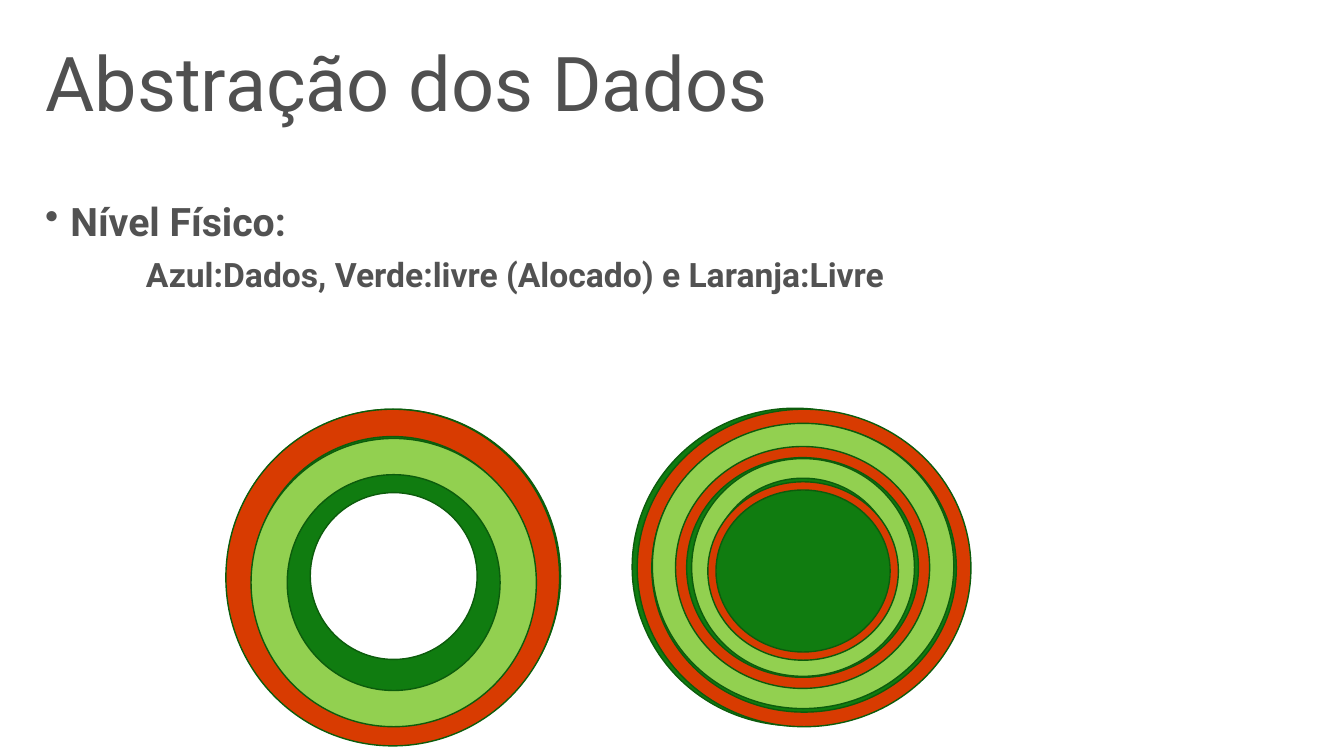
import dataclasses
import typing

import pptx
import pptx.dml.color
import pptx.enum.shapes
import pptx.enum.text
import pptx.oxml
import pptx.oxml.ns
import pptx.util

Inches = pptx.util.Inches
Pt = pptx.util.Pt
KINDS = pptx.enum.shapes.MSO_SHAPE
ALIGN = pptx.enum.text.PP_ALIGN
ANCHOR = pptx.enum.text.MSO_ANCHOR


@dataclasses.dataclass(frozen=True)
class Theme:
    font: str = "Roboto"
    title: str = "505050"
    body: str = "525252"
    green: str = "107C10"
    orange: str = "D83B01"
    lime: str = "92D050"
    edge: str = "0C5C0C"
    title_size: int = 54
    head_size: int = 28
    note_size: int = 24
    edge_size: int = 1


class Box(typing.NamedTuple):
    left: float
    top: float
    width: float
    height: float


class Ring(typing.NamedTuple):
    box: Box
    fill: str
    hole: typing.Optional[float]


class Line(typing.NamedTuple):
    text: str
    size: int
    margin: float
    indent: float
    bullet: str


THEME = Theme()
TITLE = Box(0.35, 0.37, 11.5, 0.98)
BODY = Box(0.35, 1.96, 11.5, 3.95)
RINGS = [
    Ring(Box(6.27, 4.05, 3.23, 3.15), THEME.green, None),
    Ring(Box(2.25, 4.06, 3.31, 3.31), THEME.green, 0.25),
    Ring(Box(6.32, 4.06, 3.31, 3.15), THEME.orange, 0.046),
    Ring(Box(2.24, 4.06, 3.31, 3.34), THEME.orange, 0.082),
    Ring(Box(2.49, 4.35, 2.83, 2.86), THEME.lime, 0.127),
    Ring(Box(6.47, 4.2, 2.99, 2.83), THEME.lime, 0.09),
    Ring(Box(6.7, 4.43, 2.52, 2.4), THEME.orange, 0.046),
    Ring(Box(6.86, 4.55, 2.21, 2.16), THEME.lime, 0.09),
    Ring(Box(7.02, 4.78, 1.89, 1.77), THEME.orange, 0.046),
]
LINES = [
    Line("Nível Físico:", THEME.head_size, 0.25, -0.25, "•"),
    Line("Azul:Dados, Verde:livre (Alocado) e Laranja:Livre",
         THEME.note_size, 1, 0, ""),
]


def color(code: str) -> pptx.dml.color.RGBColor:
    return pptx.dml.color.RGBColor.from_string(code)


def apply(target: typing.Any, values: dict) -> None:
    for name, value in values.items():
        setattr(target, name, value)


def place(shape: typing.Any, box: Box) -> None:
    apply(shape, {name: Inches(size) for name, size in box._asdict().items()})


def write(para: typing.Any, text: str, size: int, code: str, bold: bool) -> None:
    run = para.add_run()
    run.text = text
    apply(run.font, {"name": THEME.font, "size": Pt(size), "bold": bold})
    run.font.color.rgb = color(code)


def draw_title(slide: typing.Any, text: str) -> None:
    title = slide.shapes.title
    place(title, TITLE)
    apply(title.text_frame, {
        "word_wrap": True,
        "vertical_anchor": ANCHOR.MIDDLE,
        "auto_size": pptx.enum.text.MSO_AUTO_SIZE.NONE,
    })
    para = title.text_frame.paragraphs[0]
    apply(para, {"alignment": ALIGN.LEFT, "line_spacing": 0.9})
    write(para, text, THEME.title_size, THEME.title, False)


def draw_body(slide: typing.Any, lines: list[Line]) -> None:
    shape = slide.shapes.add_textbox(*map(Inches, BODY))
    frame = shape.text_frame
    apply(frame, {"word_wrap": True, "vertical_anchor": ANCHOR.TOP})
    for index, line in enumerate(lines):
        para = frame.add_paragraph() if index else frame.paragraphs[0]
        apply(para, {
            "alignment": ALIGN.JUSTIFY,
            "line_spacing": 0.9,
            "space_before": Pt(10),
        })
        props = para._p.get_or_add_pPr()
        props.set("marL", str(Inches(line.margin)))
        props.set("indent", str(Inches(line.indent)))
        if line.bullet:
            mark = pptx.oxml.parse_xml(
                f'<a:buChar {pptx.oxml.ns.nsdecls("a")} char="{line.bullet}"/>')
            props.append(mark)
        write(para, line.text, line.size, THEME.body, True)


def draw_ring(slide: typing.Any, ring: Ring) -> None:
    kind = KINDS.OVAL if ring.hole is None else KINDS.DONUT
    shape = slide.shapes.add_shape(kind, *map(Inches, ring.box))
    if ring.hole is not None:
        shape.adjustments[0] = ring.hole
    shape.shadow.inherit = False
    shape.fill.solid()
    shape.fill.fore_color.rgb = color(ring.fill)
    shape.line.color.rgb = color(THEME.edge)
    shape.line.width = Pt(THEME.edge_size)


def main() -> None:
    deck = pptx.Presentation()
    apply(deck, {"slide_width": Inches(13.33), "slide_height": Inches(7.5)})
    slide = deck.slides.add_slide(deck.slide_layouts.get_by_name("Title Only"))
    draw_title(slide, "Abstração dos Dados")
    draw_body(slide, LINES)
    for ring in RINGS:
        draw_ring(slide, ring)
    deck.save("out.pptx")


if __name__ == "__main__":
    main()
